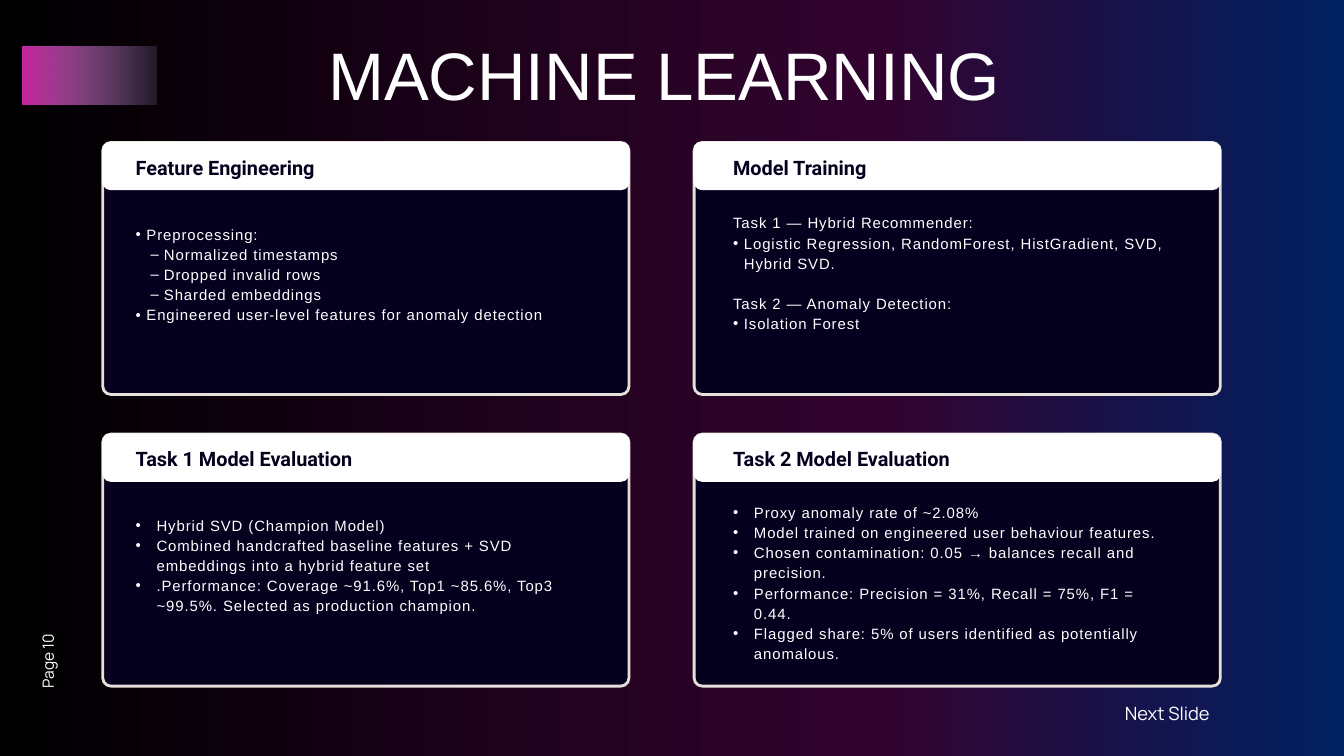
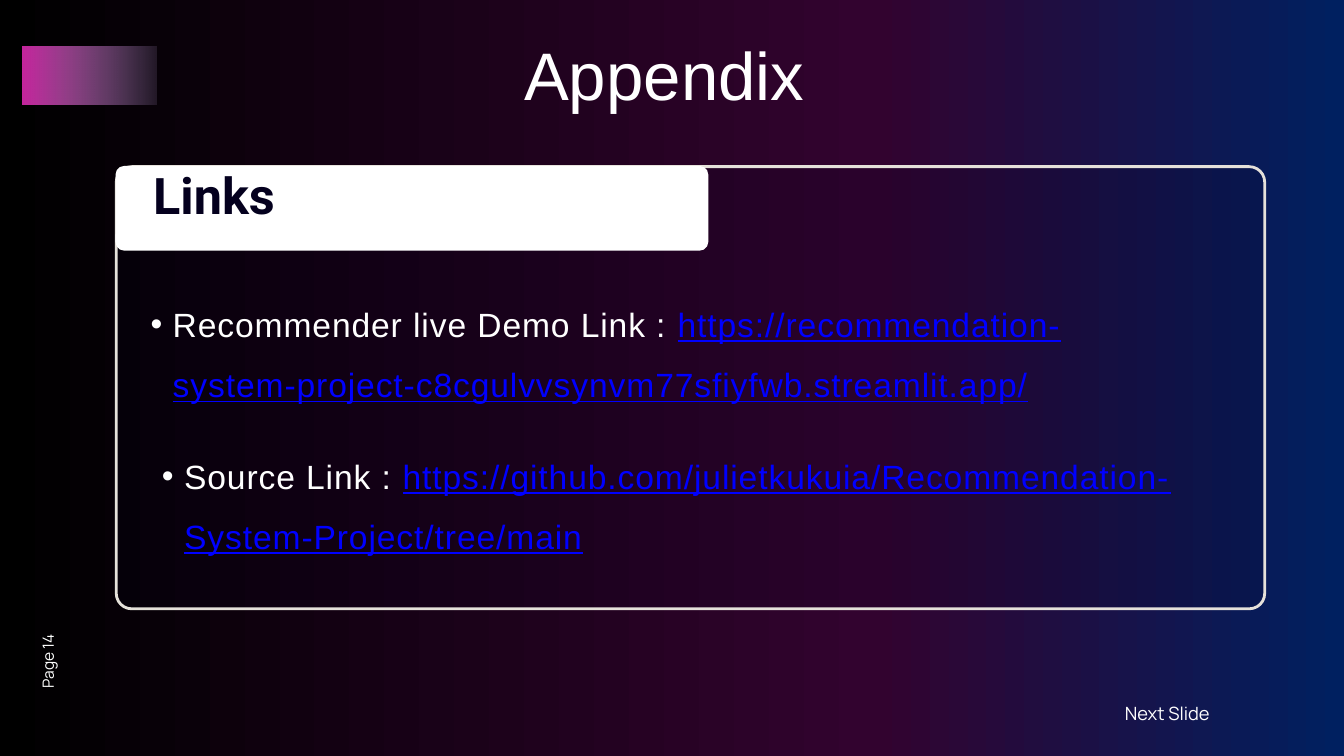
from dataclasses import dataclass

from lxml import etree
from pptx import Presentation
from pptx import util as u
from pptx.dml.color import RGBColor
from pptx.enum import shapes, text
from pptx.oxml.ns import qn

COLUMNS, ROWS = 20, 11.25
WIDTH, HEIGHT = u.Inches(20), u.Inches(11.25)


@dataclass(frozen=True)
class Type:
    """A text style: font, size, colour, leading and letter spacing."""
    font: str
    size: float
    color: str
    leading: object = None
    bold: bool = False
    tracking: int = 0
    align: object = text.PP_ALIGN.LEFT


class Theme:
    """Colours and type styles shared by the slides."""
    navy, white, frame, link = "04001E", "FFFFFF", "E5E1DA", "0000FF"
    backdrop = ((0, "000000", 100), (65, "32032F", 100), (100, "002060", 100))
    accent = ((0, "C6269E", 100), (100, "DDBAFF", 12))
    title = Type("Arial", 72, white, align=text.PP_ALIGN.CENTER)
    heading = Type("Roboto", 21.3, navy, u.Pt(24.9), bold=True)
    big_heading = Type("Roboto", 54, navy, u.Pt(24.9), bold=True)
    body = Type("Arial", 16, white, u.Pt(21.6), tracking=100)
    big_body = Type("Arial", 36, white, 1.5, tracking=100)
    page = Type("Manrope", 16.6, white, u.Pt(17.2), align=text.PP_ALIGN.CENTER)
    next = Type("Manrope", 19.6, white, u.Pt(20.4))


@dataclass(frozen=True)
class Box:
    """A region measured in columns and rows of the slide grid."""
    left: float
    top: float
    width: float
    height: float

    def inside(self, left, top, width, height):
        """Return a region placed relative to this one."""
        return Box(self.left + left, self.top + top, width, height)

    def lengths(self):
        """Return left, top, width and height as slide lengths."""
        column, row = WIDTH / COLUMNS, HEIGHT / ROWS
        return [round(share) for share in (self.left * column, self.top * row,
                                           self.width * column, self.height * row)]


@dataclass(frozen=True)
class Mark:
    """A list mark with its text indent and hang in inches."""
    char: str = ""
    indent: float = 0
    hang: float = 0
    gap: float = 0


PLAIN, SECTION = Mark(), Mark(gap=21.6)
DOT, DASH = Mark("•", 0.16, 0.16), Mark("–", 0.42, 0.2)
ITEM, LINK = Mark("•", 0.31, 0.31), Mark("•", 0.33, 0.33)

CARDS = (
    ("Feature Engineering", 1.2, 1.53, (
        (DOT, "Preprocessing:"),
        (DASH, "Normalized timestamps"),
        (DASH, "Dropped invalid rows"),
        (DASH, "Sharded embeddings"),
        (DOT, "Engineered user-level features for anomaly detection"))),
    ("Model Training", 1.03, 2.14, (
        (PLAIN, "Task 1 — Hybrid Recommender:"),
        (DOT, "Logistic Regression, RandomForest, HistGradient, SVD, Hybrid SVD."),
        (SECTION, "Task 2 — Anomaly Detection:"),
        (DOT, "Isolation Forest"))),
    ("Task 1 Model Evaluation", 1.19, 1.53, (
        (ITEM, "Hybrid SVD (Champion Model)"),
        (ITEM, "Combined handcrafted baseline features + SVD embeddings into a hybrid feature set"),
        (ITEM, ".Performance: Coverage ~91.6%, Top1 ~85.6%, Top3 ~99.5%. "
               "Selected as production champion."))),
    ("Task 2 Model Evaluation", 1.0, 2.14, (
        (ITEM, "Proxy anomaly rate of ~2.08%"),
        (ITEM, "Model trained on engineered user behaviour features."),
        (ITEM, "Chosen contamination: 0.05 → balances recall and precision."),
        (ITEM, "Performance: Precision = 31%, Recall = 75%, F1 = 0.44."),
        (ITEM, "Flagged share: 5% of users identified as potentially anomalous."))),
)

LINKS = (
    (Box(0.51, 1.74, 15.14, 2.64), "Recommender live Demo Link : ",
     "https://recommendation-system-project-c8cgulvvsynvm77sfiyfwb.streamlit.app/"),
    (Box(0.68, 4, 15.87, 1.73), "Source Link : ",
     "https://github.com/julietkukuia/Recommendation-System-Project/tree/main"),
)


def set_alpha(color, percent):
    """Make a colour element partly transparent."""
    etree.SubElement(color, qn("a:alpha"), val=str(percent * 1000))


def paint_gradient(owner, fill, stops):
    """Fill with a left-to-right gradient of (position, colour, opacity) stops."""
    fill.gradient()
    fill.gradient_angle = 0
    stop_list = owner.element.find(".//" + qn("a:gsLst"))
    stop_list.clear()
    for position, color, opacity in stops:
        stop = etree.SubElement(stop_list, qn("a:gs"), pos=str(position * 1000))
        node = etree.SubElement(stop, qn("a:srgbClr"), val=color)
        if opacity < 100:
            set_alpha(node, opacity)


def set_mark(paragraph, mark):
    """Give a paragraph its bullet and indents."""
    properties = paragraph._p.get_or_add_pPr()
    properties.set("marL", str(u.Inches(mark.indent)))
    properties.set("indent", str(-u.Inches(mark.hang)))
    if mark.char:
        etree.SubElement(properties, qn("a:buChar"), char=mark.char)
    else:
        etree.SubElement(properties, qn("a:buNone"))


def style_paragraph(paragraph, style, mark=PLAIN):
    """Apply a type style and a list mark to a paragraph."""
    set_mark(paragraph, mark)
    paragraph.alignment = style.align
    paragraph.space_before = u.Pt(mark.gap)
    if style.leading:
        paragraph.line_spacing = style.leading
    font = paragraph.font
    font.name, font.size, font.bold = style.font, u.Pt(style.size), style.bold
    font.color.rgb = RGBColor.from_string(style.color)
    if style.tracking:
        paragraph._p.pPr.find(qn("a:defRPr")).set("spc", str(style.tracking))


def write(holder, box, style, lines):
    """Place a text holder on top and fill it with (mark, words) lines."""
    holder.left, holder.top, holder.width, holder.height = box.lengths()
    holder.element.getparent().append(holder.element)
    frame = holder.text_frame
    frame.margin_left = frame.margin_top = frame.margin_right = frame.margin_bottom = 0
    frame.word_wrap, frame.auto_size = True, text.MSO_AUTO_SIZE.NONE
    frame.vertical_anchor = text.MSO_ANCHOR.TOP
    for number, (mark, words) in enumerate(lines):
        paragraph = frame.add_paragraph() if number else frame.paragraphs[0]
        paragraph.add_run().text = words
        style_paragraph(paragraph, style, mark)
    return frame


def add_label(slide, box, style, words):
    """Add a one-line text box."""
    label = slide.shapes.add_textbox(*box.lengths())
    write(label, box, style, [(PLAIN, words)])
    return label


def add_rounded(slide, box, radius, fill, line, weight):
    """Add a rounded rectangle with a corner radius in grid units."""
    panel = slide.shapes.add_shape(shapes.MSO_SHAPE.ROUNDED_RECTANGLE, *box.lengths())
    panel.adjustments[0] = radius / box.height
    panel.shadow.inherit = False
    panel.fill.solid()
    panel.fill.fore_color.rgb = RGBColor.from_string(fill)
    panel.line.color.rgb = RGBColor.from_string(line)
    panel.line.width = u.Pt(weight)
    return panel


def add_card(slide, box, header, radius):
    """Draw a framed panel with a white header band and return the panel."""
    panel = add_rounded(slide, box, radius, Theme.navy, Theme.frame, 3)
    add_rounded(slide, header, 0.12, Theme.white, Theme.white, 1.5)
    return panel


def start_slide(deck, layout, title, page):
    """Add a slide with title, accent band, page label and next label."""
    slide = deck.slides.add_slide(deck.slide_layouts.get_by_name(layout))
    write(slide.shapes.title, Box(1.3, 0.5, 17.17, 1.21), Theme.title, [(PLAIN, title)])
    band = slide.shapes.add_shape(shapes.MSO_SHAPE.RECTANGLE,
                                  *Box(0.33, 0.69, 2, 0.87).lengths())
    band.shadow.inherit = False
    band.line.fill.background()
    paint_gradient(band, band.fill, Theme.accent)
    add_label(slide, Box(0.14, 9.72, 1.18, 0.24), Theme.page, f"Page {page}").rotation = 270
    add_label(slide, Box(16.74, 10.49, 1.88, 0.3), Theme.next, "Next Slide")
    bodies = [holder for holder in slide.placeholders if holder.placeholder_format.idx]
    return slide, bodies


def build_machine_learning(deck):
    """Build the two-by-two grid of model cards."""
    slide, bodies = start_slide(deck, "Comparison", "MACHINE LEARNING", 10)
    grid = Box(1.53, 2.12, 16.64, 8.09)
    for index, (body, (heading, top, height, lines)) in enumerate(zip(bodies, CARDS)):
        row, column = divmod(index, 2)
        card = grid.inside(column * 8.8, row * 4.34, 7.83, 3.75)
        pad = 0.58 if column else 0.49
        add_card(slide, card, card.inside(0, 0, 7.83, 0.7), 0.12)
        add_label(slide, card.inside(pad, 0.2, 6.43, 0.35), Theme.heading, heading)
        write(body, card.inside(pad, top, 6.43, height), Theme.body, lines)


def build_appendix(deck):
    """Build the panel of project links."""
    slide, bodies = start_slide(deck, "Two Content", "Appendix", 14)
    panel = Box(1.73, 2.48, 17.09, 6.58)
    frame = add_card(slide, panel, panel.inside(0, 0, 8.8, 1.24), 0.23)
    set_alpha(frame.element.spPr.find(".//" + qn("a:srgbClr")), 16)
    add_label(slide, panel.inside(0.55, 0.51, 7.23, 0.47), Theme.big_heading, "Links")
    for body, (place, caption, address) in zip(bodies, LINKS):
        box = panel.inside(place.left, place.top, place.width, place.height)
        entry = write(body, box, Theme.big_body, [(LINK, caption)])
        link = entry.paragraphs[0].add_run()
        link.text = address
        link.font.underline = True
        link.font.color.rgb = RGBColor.from_string(Theme.link)


def main():
    """Build and save the deck."""
    deck = Presentation()
    deck.slide_width, deck.slide_height = WIDTH, HEIGHT
    master = deck.slide_master
    paint_gradient(master, master.background.fill, Theme.backdrop)
    build_machine_learning(deck)
    build_appendix(deck)
    deck.save("out.pptx")


if __name__ == "__main__":
    main()
